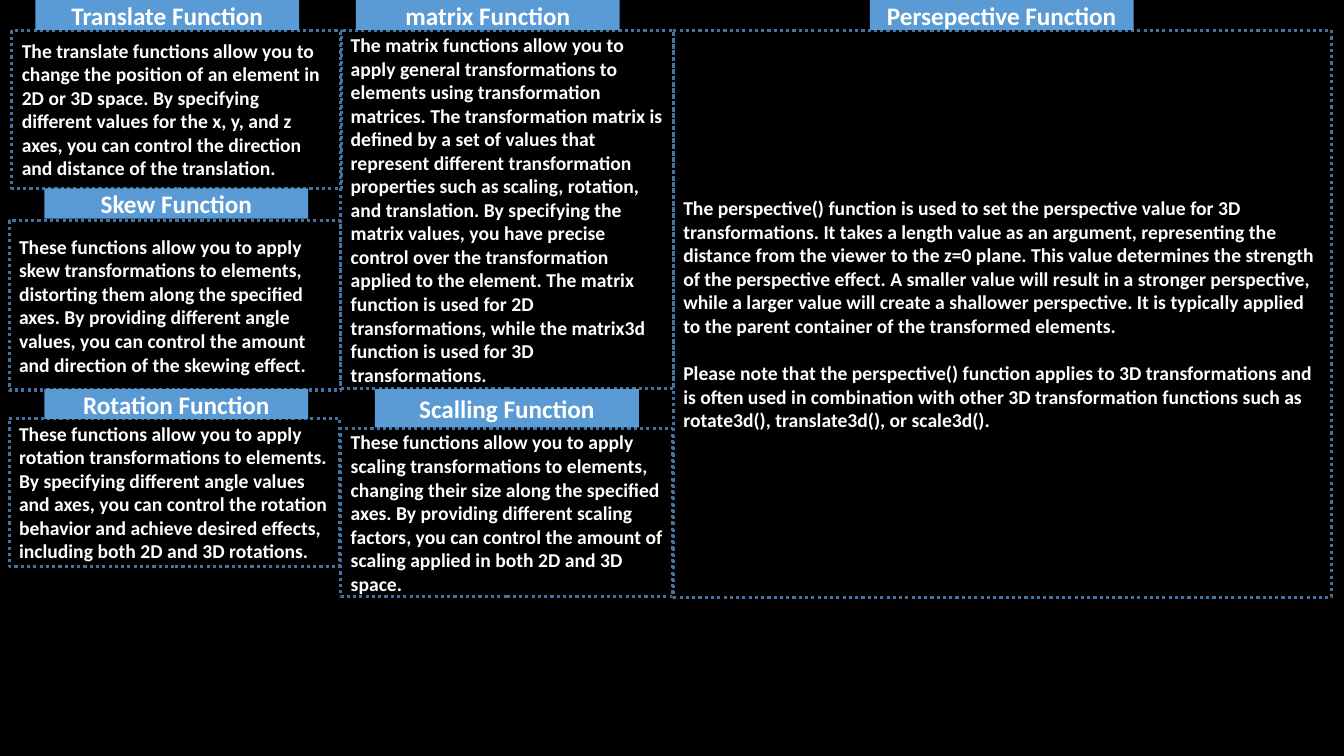
import pptx
import pptx.util
import pptx.dml.color
import pptx.enum.dml
import pptx.enum.shapes
import pptx.enum.text

Cm = pptx.util.Cm
Pt = pptx.util.Pt
RGBColor = pptx.dml.color.RGBColor
ALIGN = pptx.enum.text.PP_ALIGN

BLACK = RGBColor(0x00, 0x00, 0x00)
WHITE = RGBColor(0xFF, 0xFF, 0xFF)
HEADING_BLUE = RGBColor(0x5B, 0x9B, 0xD5)
BORDER_BLUE = RGBColor(0x43, 0x73, 0x9E)
HEADING_WIDTH = 6.65
PARAGRAPH_GAP = Pt(17)

# Title, paragraphs, box (left, top, width, height),
# heading (offset from box left, rise above box top, height); all in cm.
SECTIONS = [
    ("Translate Function",
     ["The translate functions allow you to change the position of an element "
      "in 2D or 3D space. By specifying different values for the x, y, and z "
      "axes, you can control the direction and distance of the translation."],
     (0.3, 0.76, 8.31, 3.99), (0.59, 0.76, 0.76)),
    ("Skew Function",
     ["These functions allow you to apply skew transformations to elements, "
      "distorting them along the specified axes. By providing different angle "
      "values, you can control the amount and direction of the skewing effect."],
     (0.23, 5.56, 8.36, 4.27), (0.89, 0.81, 0.76)),
    ("Rotation Function",
     ["These functions allow you to apply rotation transformations to elements. "
      "By specifying different angle values and axes, you can control the "
      "rotation behavior and achieve desired effects, including both 2D and 3D "
      "rotations."],
     (0.23, 10.54, 8.33, 3.73), (0.89, 0.74, 0.76)),
    ("matrix Function",
     ["The matrix functions allow you to apply general transformations to "
      "elements using transformation matrices. The transformation matrix is "
      "defined by a set of values that represent different transformation "
      "properties such as scaling, rotation, and translation. By specifying the "
      "matrix values, you have precise control over the transformation applied "
      "to the element. The matrix function is used for 2D transformations, "
      "while the matrix3d function is used for 3D transformations."],
     (8.59, 0.76, 8.38, 9.04), (0.38, 0.76, 0.76)),
    ("Scalling Function",
     ["These functions allow you to apply scaling transformations to elements, "
      "changing their size along the specified axes. By providing different "
      "scaling factors, you can control the amount of scaling applied in both "
      "2D and 3D space."],
     (8.59, 10.8, 8.36, 4.24), (0.86, 1, 0.97)),
    ("Persepective Function",
     ["The perspective() function is used to set the perspective value for 3D "
      "transformations. It takes a length value as an argument, representing "
      "the distance from the viewer to the z=0 plane. This value determines the "
      "strength of the perspective effect. A smaller value will result in a "
      "stronger perspective, while a larger value will create a shallower "
      "perspective. It is typically applied to the parent container of the "
      "transformed elements.",
      "Please note that the perspective() function applies to 3D "
      "transformations and is often used in combination with other 3D "
      "transformation functions such as rotate3d(), translate3d(), or "
      "scale3d()."],
     (16.97, 0.76, 16.59, 14.3), (4.95, 0.76, 0.76)),
]


def add_text_box(page, box, texts, size, align):
    """Add a rectangle holding bold white paragraphs, centred vertically."""
    panel = page.shapes.add_shape(
        pptx.enum.shapes.MSO_SHAPE.RECTANGLE, *[Cm(length) for length in box])
    panel.shadow.inherit = False
    frame = panel.text_frame
    frame.word_wrap = True
    frame.vertical_anchor = pptx.enum.text.MSO_ANCHOR.MIDDLE
    for index, text in enumerate(texts):
        para = frame.add_paragraph() if index else frame.paragraphs[0]
        para.text = text
        para.alignment = align
        para.font.name = "Calibri"
        para.font.size = Pt(size)
        para.font.bold = True
        para.font.color.rgb = WHITE
        if index:
            para.space_before = PARAGRAPH_GAP
    return panel


def add_section(page, title, texts, box, heading):
    """Add a dotted description box with its heading bar placed above it."""
    body = add_text_box(page, box, texts, 14, ALIGN.LEFT)
    body.fill.background()
    body.line.color.rgb = BORDER_BLUE
    body.line.width = Pt(2.25)
    body.line.dash_style = pptx.enum.dml.MSO_LINE.ROUND_DOT

    left, top = box[:2]
    offset, rise, height = heading
    bar = add_text_box(page, (left + offset, top - rise, HEADING_WIDTH, height),
                       [title], 18, ALIGN.CENTER)
    bar.fill.solid()
    bar.fill.fore_color.rgb = HEADING_BLUE
    bar.line.fill.background()


def build_functions_page(deck):
    """Add the black page with one section per transform function."""
    page = deck.slides.add_slide(deck.slide_layouts[6])
    page.background.fill.solid()
    page.background.fill.fore_color.rgb = BLACK
    for section in SECTIONS:
        add_section(page, *section)


deck = pptx.Presentation()
deck.slide_width = Cm(33.87)
deck.slide_height = Cm(19.05)
build_functions_page(deck)
deck.save("out.pptx")
